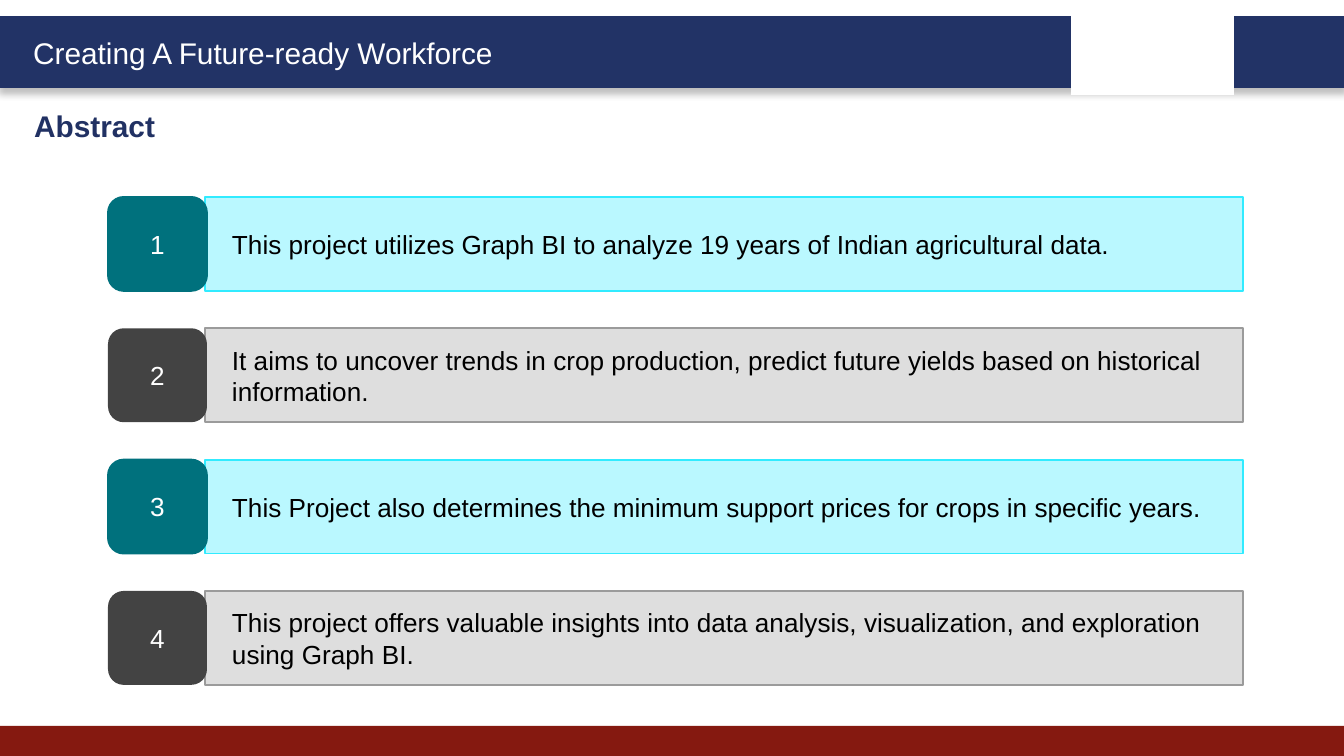
from lxml import etree
from pptx import Presentation
from pptx.dml.color import RGBColor
from pptx.enum.shapes import MSO_SHAPE as SHAPE
from pptx.enum.text import MSO_ANCHOR as ANCHOR, MSO_AUTO_SIZE as AUTO, PP_ALIGN as ALIGN
from pptx.oxml import parse_xml
from pptx.oxml.ns import nsdecls, qn
from pptx.util import Pt

PX = 914400 / 134.4
WIDTH, HEIGHT = 1344, 756

TITLE = "Creating A Future-ready Workforce"
HEADING = "Abstract"
POINTS = [
    "This project utilizes Graph BI to analyze 19 years of Indian agricultural data.",
    "It aims to uncover trends in crop production, predict future yields based on historical information.",
    "This Project also determines the minimum support prices for crops in specific years.",
    "This project offers valuable insights into data analysis, visualization, and exploration using Graph BI.",
]
# Alternating row colours: bar fill, bar line, badge fill, badge line
ROW_STYLES = [
    ("BAF8FF", "31EBFF", "00717D", "00717D"),
    ("DEDEDE", "9B9B9B", "434343", None),
]
ROW_TOP, ROW_PITCH, ROW_HEIGHT = 197, 131.33, 94
BADGE_LEFT, BADGE_WIDTH = 108, 99
BAR_LEFT, BAR_WIDTH, BAR_INDENT = 205, 1038, 27


def px(n):
    return round(n * PX)


def rgb(value):
    return RGBColor.from_string(value)


def add_box(slide, box, fill, line=None, line_pt=1, kind=SHAPE.RECTANGLE):
    sp = slide.shapes.add_shape(kind, *map(px, box))
    sp.shadow.inherit = False
    sp.fill.solid()
    sp.fill.fore_color.rgb = rgb(fill)
    if line:
        sp.line.color.rgb = rgb(line)
        sp.line.width = Pt(line_pt)
    else:
        sp.line.fill.background()
    return sp


def set_text(sp, text, size, color, align=ALIGN.LEFT, anchor=ANCHOR.MIDDLE, bold=False):
    tf = sp.text_frame
    tf.word_wrap = True
    tf.vertical_anchor = anchor
    p = tf.paragraphs[0]
    p.text = text
    p.alignment = align
    p.font.name = "Arial"
    p.font.size = Pt(size)
    p.font.bold = bold
    p.font.color.rgb = rgb(color)
    return tf


def add_label(slide, box, text, color, bold=False):
    sp = slide.shapes.add_textbox(*map(px, box))
    tf = set_text(sp, text, 16, color, anchor=ANCHOR.TOP, bold=bold)
    tf.auto_size = AUTO.SHAPE_TO_FIT_TEXT


def add_drop_shadow(sp):
    effects = sp._element.spPr.find(qn("a:effectLst"))
    effects.append(parse_xml(
        f'<a:outerShdw {nsdecls("a")} blurRad="{Pt(4)}" dist="{Pt(3)}" dir="5400000"'
        ' algn="t" rotWithShape="0"><a:srgbClr val="000000"><a:alpha val="25000"/>'
        '</a:srgbClr></a:outerShdw>'))


def add_row(slide, index, text):
    bar_fill, bar_line, badge_fill, badge_line = ROW_STYLES[index % len(ROW_STYLES)]
    top = ROW_TOP + index * ROW_PITCH
    bar = add_box(slide, (BAR_LEFT, top, BAR_WIDTH, ROW_HEIGHT), bar_fill, bar_line)
    set_text(bar, text, 14, "000000").margin_left = px(BAR_INDENT)
    badge = add_box(slide, (BADGE_LEFT, top, BADGE_WIDTH, ROW_HEIGHT), badge_fill,
                    badge_line, kind=SHAPE.ROUNDED_RECTANGLE)
    set_text(badge, str(index + 1), 14, "FFFFFF", ALIGN.CENTER)


def main():
    prs = Presentation()
    prs.slide_width, prs.slide_height = px(WIDTH), px(HEIGHT)
    slide = prs.slides.add_slide(prs.slide_layouts[6])

    header = add_box(slide, (0, 18, WIDTH, 68), "223366", "223366", 2)
    add_drop_shadow(header)
    add_box(slide, (0, 726, WIDTH, 30), "851910")
    add_box(slide, (1071, 9, 163, 86), "FFFFFF")
    add_label(slide, (20, 28, 508, 50), TITLE, "FFFFFF")
    add_label(slide, (21, 101, 650, 50), HEADING, "213163", bold=True)

    for index, text in enumerate(POINTS):
        add_row(slide, index, text)
    prs.save("out.pptx")


if __name__ == "__main__":
    main()
